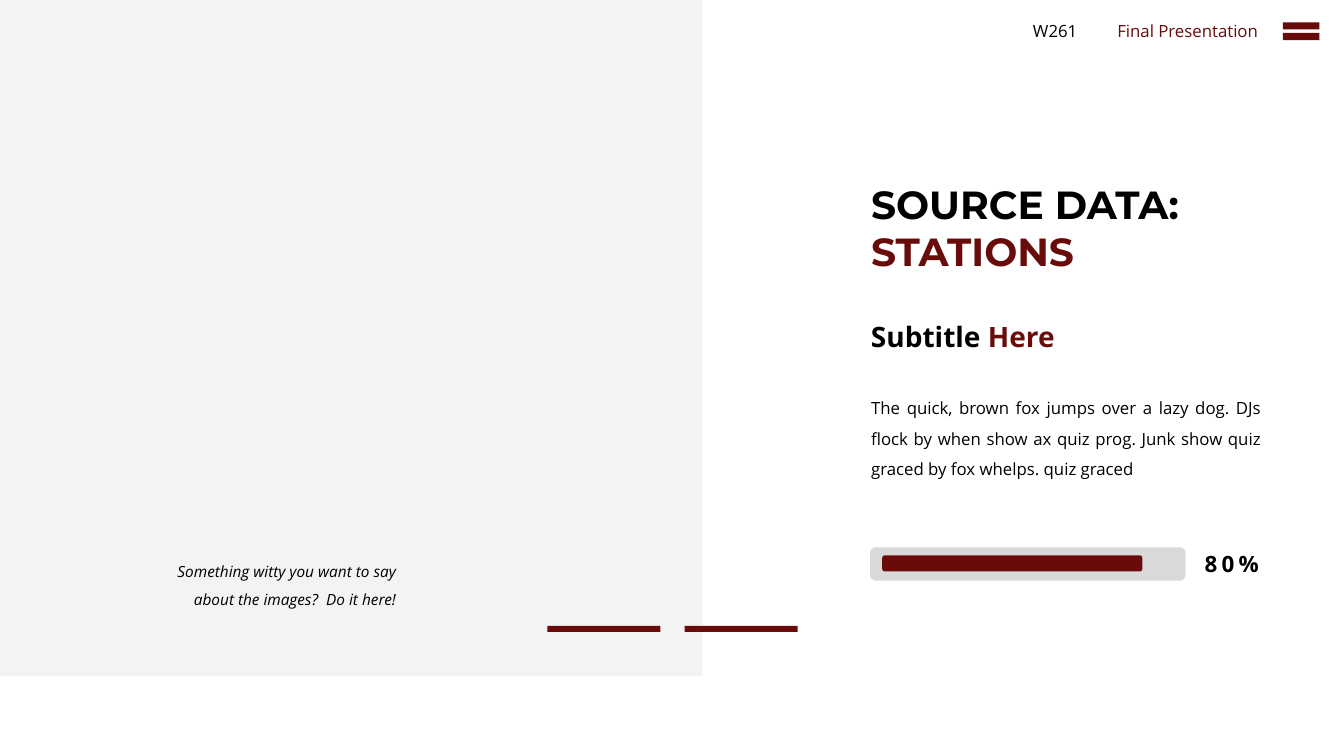
from lxml import etree
from pptx import Presentation
from pptx.dml import color
from pptx.enum import shapes, text
from pptx.oxml import ns
from pptx.util import Inches, Pt

BLACK = color.RGBColor(0x00, 0x00, 0x00)
WINE = color.RGBColor(0x69, 0x0B, 0x0B)
PANEL = color.RGBColor(0xF3, 0xF3, 0xF3)
TRACK = color.RGBColor(0xD9, 0xD9, 0xD9)
SHAPE = shapes.MSO_SHAPE
ALIGN = text.PP_ALIGN


def place(item, box):
    for side, size in zip(("left", "top", "width", "height"), box):
        setattr(item, side, Inches(size))


def draw(slide, kind, box, fill):
    """Add a filled preset shape with no outline or shadow."""
    shape = slide.shapes.add_shape(kind, *map(Inches, box))
    shape.shadow.inherit = False
    shape.fill.solid()
    shape.fill.fore_color.rgb = fill
    shape.line.fill.background()


def write(item, parts, size, align=ALIGN.LEFT, lines=1.0, wrap=True,
          face="Open Sans", bold=False, italic=False, gap=0):
    """Fill one paragraph with (wording, colour) parts in a shared format."""
    frame = item.text_frame
    layout = {"word_wrap": wrap, "auto_size": text.MSO_AUTO_SIZE.NONE,
              "vertical_anchor": text.MSO_ANCHOR.TOP}
    for name, value in layout.items():
        setattr(frame, name, value)
    para = frame.paragraphs[0]
    spacing = {"alignment": align, "line_spacing": lines, "space_before": Pt(0)}
    for name, value in spacing.items():
        setattr(para, name, value)
    style = {"name": face, "size": Pt(size), "bold": bold, "italic": italic}
    for wording, tint in parts:
        run = para.add_run()
        run.text = wording
        for name, value in style.items():
            setattr(run.font, name, value)
        run.font.color.rgb = tint
        if gap:
            run.font._element.set("spc", str(gap * 100))


def label(slide, box, parts, size, **style):
    item = slide.shapes.add_textbox(*map(Inches, box))
    write(item, parts, size, **style)


def fill_body(body):
    place(body, (8.54, 3.8, 4.07, 0.98))
    props = body.text_frame.paragraphs[0]._p.get_or_add_pPr()
    props.set("marL", "0")
    props.set("indent", "0")
    etree.SubElement(props, ns.qn("a:buNone"))
    words = ("The quick, brown fox jumps over a lazy dog. DJs flock by when show "
             "ax quiz prog. Junk show quiz graced by fox whelps. quiz graced")
    write(body, [(words, BLACK)], 12, align=ALIGN.JUSTIFY, lines=1.5)


def add_header(slide):
    label(slide, (10.14, 0.16, 0.65, 0.3), [("W261", BLACK)], 12,
          align=ALIGN.CENTER, wrap=False)
    label(slide, (10.97, 0.16, 1.62, 0.3), [("Final Presentation", WINE)], 12,
          align=ALIGN.CENTER, wrap=False)
    draw(slide, SHAPE.MATH_EQUAL, (12.66, 0.16, 0.49, 0.3), WINE)


def add_meter(slide):
    draw(slide, SHAPE.ROUNDED_RECTANGLE, (8.63, 5.43, 3.13, 0.33), TRACK)
    draw(slide, SHAPE.ROUNDED_RECTANGLE, (8.75, 5.51, 2.58, 0.16), WINE)
    label(slide, (11.85, 5.36, 1.08, 0.4), [("80%", BLACK)], 16,
          lines=1.2, bold=True, gap=3)


def main():
    deck = Presentation()
    deck.slide_width, deck.slide_height = Inches(13.33), Inches(7.5)
    slide = deck.slides.add_slide(deck.slide_layouts[1])

    title = slide.shapes.title
    place(title, (8.54, 1.74, 4.22, 1.04))
    write(title, [("SOURCE DATA: ", BLACK), ("STATIONS", WINE)], 28,
          face="Montserrat", bold=True)
    fill_body(slide.placeholders[1])

    draw(slide, SHAPE.RECTANGLE, (0, 0, 6.97, 6.71), PANEL)
    for step in range(2):
        draw(slide, SHAPE.RECTANGLE, (5.43 + 1.36 * step, 6.21, 1.12, 0.06), WINE)
    label(slide, (1.48, 5.44, 2.55, 0.63),
          [("Something witty you want to say about the images?  Do it here!", BLACK)],
          11, align=ALIGN.RIGHT, lines=1.5, italic=True)
    add_header(slide)
    label(slide, (8.54, 3.12, 3.86, 0.44),
          [("Subtitle ", BLACK), ("Here", WINE)], 20, bold=True)
    add_meter(slide)
    deck.save("out.pptx")


if __name__ == "__main__":
    main()
